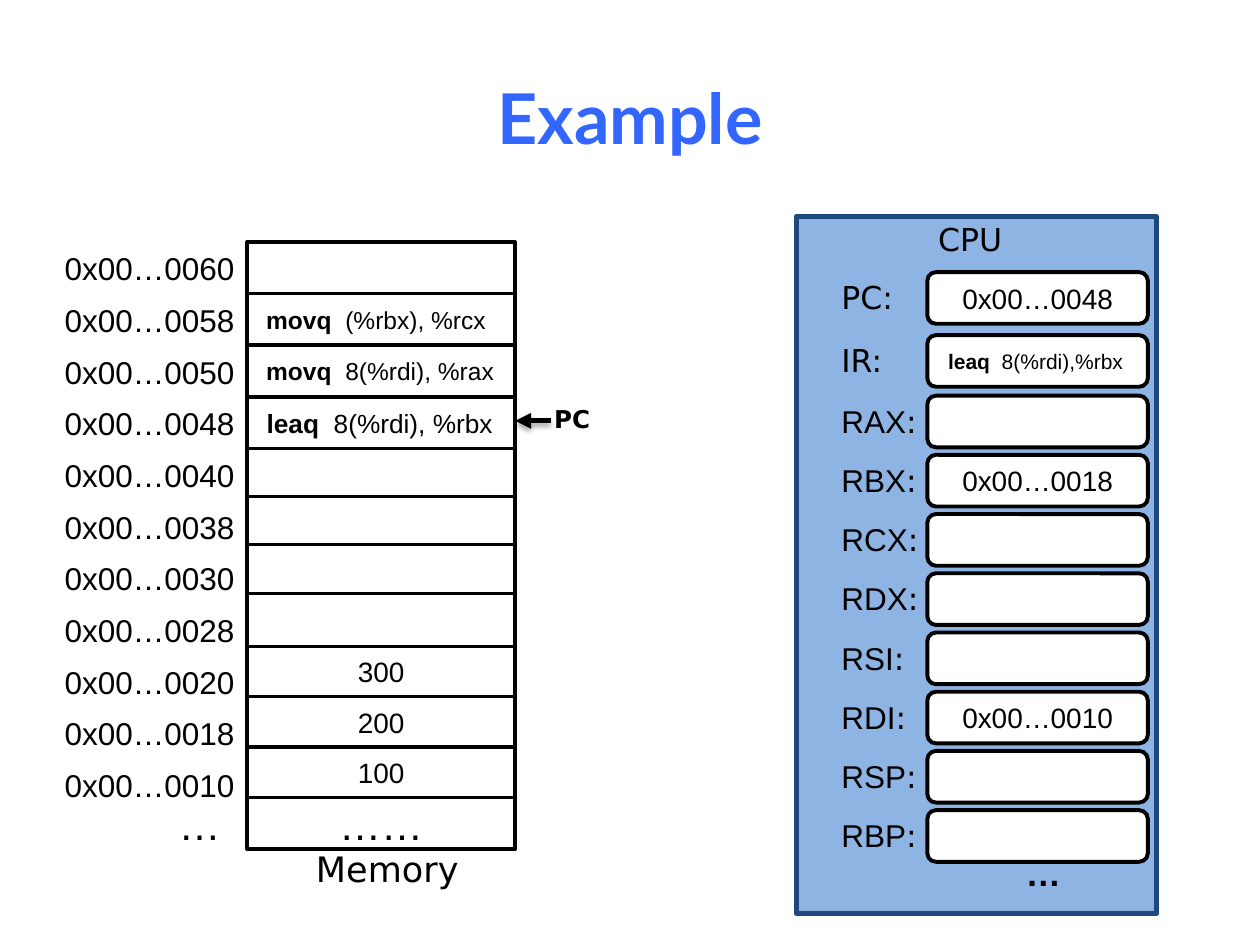
from itertools import accumulate

from lxml import etree
from pptx import Presentation, util as u
from pptx.dml.color import RGBColor
from pptx.enum import shapes, text
from pptx.oxml import ns

BLACK = RGBColor(0x00, 0x00, 0x00)
WHITE = RGBColor(0xFF, 0xFF, 0xFF)
TITLE_BLUE = RGBColor(0x33, 0x66, 0xFF)
CPU_FILL = RGBColor(0x8E, 0xB4, 0xE3)
CPU_EDGE = RGBColor(0x1F, 0x49, 0x7D)
SANS, MONITOR, HEADING = "Arial", "DejaVu Sans", "Lato"
LEFT, CENTER, RIGHT = (text.PP_ALIGN.LEFT, text.PP_ALIGN.CENTER,
                       text.PP_ALIGN.RIGHT)

# Content: memory rows as (address, row height, size, alignment, runs);
# a run is (words, format values)
BOLD = {"bold": True}
MEMORY = [
    ("0x00…0060", 0.41, 14, LEFT, []),
    ("0x00…0058", 0.41, 14, LEFT,
     [(" ", {}), ("movq  ", BOLD), ("(%rbx), %rcx", {})]),
    ("0x00…0050", 0.41, 14, LEFT,
     [(" ", {}), ("movq  ", BOLD), ("8(%rdi), %rax", {})]),
    ("0x00…0048", 0.41, 15, LEFT,
     [(" ", {}), ("leaq ", BOLD), (" 8(%rdi), %rbx", {})]),
    ("0x00…0040", 0.38, 16, CENTER, []),
    ("0x00…0038", 0.38, 16, CENTER, []),
    ("0x00…0030", 0.39, 16, CENTER, []),
    ("0x00…0028", 0.42, 16, CENTER, []),
    ("0x00…0020", 0.40, 16, CENTER, [("300", {})]),
    ("0x00…0018", 0.40, 16, CENTER, [("200", {})]),
    ("0x00…0010", 0.40, 16, CENTER, [("100", {})]),
    (None, 0.41, 24, CENTER, [("……", {})]),
]
# Registers as (name, name font, gap to the next row, size, alignment, runs)
REGISTERS = [
    ("PC", MONITOR, 0.50, 16, CENTER, [("0x00…0048", {})]),
    ("IR", MONITOR, 0.48, 12, LEFT,
     [(" ", {}), ("leaq", BOLD), ("  8(%rdi),%rbx", {})]),
    ("RAX", SANS, 0.47, 16, CENTER, []),
    ("RBX", SANS, 0.47, 16, CENTER, [("0x00…0018", {})]),
    ("RCX", SANS, 0.47, 16, CENTER, []),
    ("RDX", SANS, 0.47, 16, CENTER, []),
    ("RSI", SANS, 0.47, 16, CENTER, []),
    ("RDI", SANS, 0.47, 16, CENTER, [("0x00…0010", {})]),
    ("RSP", SANS, 0.47, 16, CENTER, []),
    ("RBP", SANS, 0.47, 16, CENTER, []),
]

# Grid, in inches
MEMORY_X, MEMORY_TOP, MEMORY_W = 1.96, 1.92, 2.13
ADDRESS_X, ADDRESS_W, ADDRESS_PITCH = 0.4, 1.56, 0.41
REGISTER_X, REGISTER_TOP, REGISTER_W = 7.36, 2.16, 1.75
CELL_H, LABEL_H = 0.41, 0.4

deck = Presentation()
deck.slide_width, deck.slide_height = u.Inches(10), u.Inches(7.5)
slide = deck.slides.add_slide(deck.slide_layouts[6])


def inches(*lengths):
    return [u.Inches(length) for length in lengths]


def write(frame, runs, align, **values):
    paragraph = frame.paragraphs[0]
    paragraph.alignment = align
    for words, extra in runs:
        run = paragraph.add_run()
        run.text = words
        color = {"color": BLACK, **values, **extra}
        run.font.color.rgb = color.pop("color")
        for key, value in color.items():
            setattr(run.font, key, value)


def label(at, runs, align=LEFT, size=18, name=SANS, **values):
    frame = slide.shapes.add_textbox(*inches(*at)).text_frame
    frame.word_wrap = False
    write(frame, runs, align, size=u.Pt(size), name=name, **values)
    return frame


def box(kind, at, fill=WHITE, edge=BLACK, weight=2.0):
    shape = slide.shapes.add_shape(kind, *inches(*at))
    shape.shadow.inherit = False
    shape.fill.solid()
    shape.fill.fore_color.rgb = fill
    shape.line.color.rgb = edge
    shape.line.width = u.Pt(weight)
    shape.text_frame.vertical_anchor = text.MSO_ANCHOR.MIDDLE
    return shape


def tops(start, steps):
    return accumulate(steps, initial=start)


# Title
title = label((0.5, 0.3, 9, 1.25), [("Example", BOLD)], CENTER, 40, HEADING,
              color=TITLE_BLUE)
title.word_wrap = True
title.vertical_anchor = text.MSO_ANCHOR.MIDDLE

# Memory cells with their addresses
row_tops = tops(MEMORY_TOP, [row[1] for row in MEMORY])
for i, (top, (address, height, size, align, runs)) in enumerate(
        zip(row_tops, MEMORY)):
    cell = box(shapes.MSO_SHAPE.RECTANGLE, (MEMORY_X, top, MEMORY_W, height))
    write(cell.text_frame, runs, align, size=u.Pt(size), name=SANS)
    if address:
        label((ADDRESS_X, MEMORY_TOP + 0.01 + i * ADDRESS_PITCH,
               ADDRESS_W, LABEL_H), [(address, {})], RIGHT)
label((1.31, 6.29, 0.54, 0.5), [("…", {})], RIGHT, 24)
label((2.41, 6.68, 1.33, 0.44), [("Memory", {})], LEFT, 20, MONITOR)

# CPU panel
box(shapes.MSO_SHAPE.RECTANGLE, (6.32, 1.72, 2.86, 5.53),
    CPU_FILL, CPU_EDGE, 3)
label((7.34, 1.7, 0.72, 0.4), [("CPU", {})], CENTER, 18, MONITOR)
register_tops = tops(REGISTER_TOP, [register[2] for register in REGISTERS])
for top, (register, font, _, size, align, runs) in zip(
        register_tops, REGISTERS):
    value = box(shapes.MSO_SHAPE.ROUNDED_RECTANGLE,
                (REGISTER_X, top, REGISTER_W, CELL_H), weight=2.25)
    write(value.text_frame, runs, align, size=u.Pt(size), name=SANS)
    label((6.58, top, 0.84, LABEL_H),
          [(register, {"name": font}), (":", {"name": MONITOR})])
label((8.04, 6.71, 0.48, 0.44), [("…", BOLD)], CENTER, 20)

# Program counter arrow, with a soft shadow
pointer = slide.shapes.add_connector(
    shapes.MSO_CONNECTOR.STRAIGHT, *inches(4.37, 3.34, 4.09, 3.34))
pointer.line.color.rgb = BLACK
pointer.line.width = u.Pt(3)
etree.SubElement(pointer.line._get_or_add_ln(), ns.qn("a:tailEnd"),
                 type="triangle")
effects = etree.SubElement(pointer._element.spPr, ns.qn("a:effectLst"))
shadow = etree.SubElement(effects, ns.qn("a:outerShdw"), dir="5400000",
                          blurRad=str(u.Pt(3.1)), dist=str(u.Pt(1.8)))
shade = etree.SubElement(shadow, ns.qn("a:srgbClr"), val=str(BLACK))
etree.SubElement(shade, ns.qn("a:alpha"), val="35000")
label((4.3, 3.16, 0.49, 0.34), [("PC", BOLD)], LEFT, 14, MONITOR)

deck.save("out.pptx")
